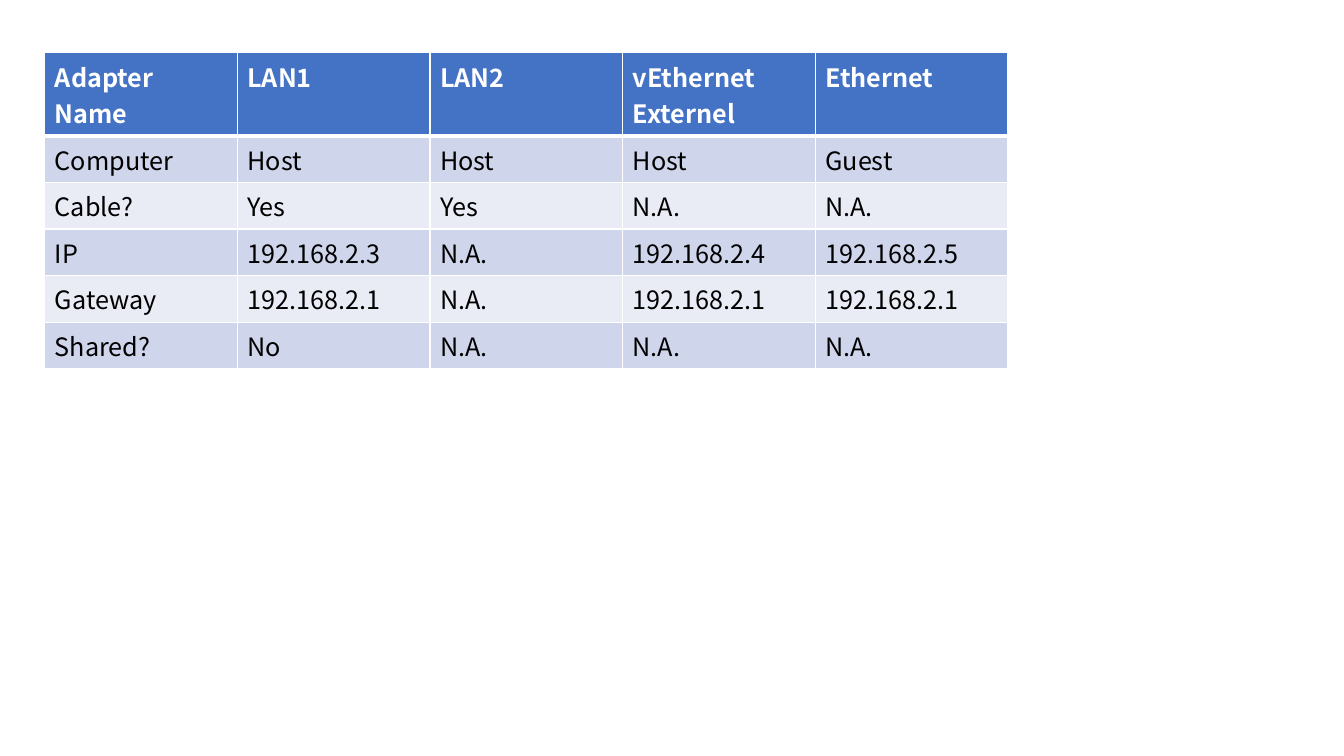
from dataclasses import dataclass

from lxml import etree
from pptx import Presentation
from pptx.dml.color import RGBColor
from pptx.oxml.ns import qn
from pptx.util import Pt


@dataclass(frozen=True)
class Theme:
    font: str = "Noto Sans CJK SC"
    text_size: float = 18
    header_fill: str = "4472C4"
    header_text: str = "FFFFFF"
    body_text: str = "000000"
    bands: tuple = ("CFD5EA", "E9EBF5")
    border: str = "FFFFFF"
    thin_border: float = 1
    header_rule: float = 3


THEME = Theme()

ADAPTERS = [
    ["Adapter Name", "LAN1", "LAN2", "vEthernet Externel", "Ethernet"],
    ["Computer", "Host", "Host", "Host", "Guest"],
    ["Cable?", "Yes", "Yes", "N.A.", "N.A."],
    ["IP", "192.168.2.3", "N.A.", "192.168.2.4", "192.168.2.5"],
    ["Gateway", "192.168.2.1", "N.A.", "192.168.2.1", "192.168.2.1"],
    ["Shared?", "No", "N.A.", "N.A.", "N.A."],
]


def set_borders(cell, top, bottom):
    """Draw all four cell borders; top and bottom widths are in points."""
    properties = cell._tc.get_or_add_tcPr()
    widths = {"L": THEME.thin_border, "R": THEME.thin_border, "T": top, "B": bottom}
    # Borders must precede the fill element
    for position, (side, width) in enumerate(widths.items()):
        line = etree.Element(qn(f"a:ln{side}"), w=str(Pt(width)))
        fill = etree.SubElement(line, qn("a:solidFill"))
        etree.SubElement(fill, qn("a:srgbClr"), val=THEME.border)
        properties.insert(position, line)


def fill_cell(cell, text, row_index):
    """Write and style one cell according to its row."""
    is_header = row_index == 0
    band = THEME.bands[(row_index - 1) % len(THEME.bands)]
    cell.fill.solid()
    cell.fill.fore_color.rgb = RGBColor.from_string(THEME.header_fill if is_header else band)

    run = cell.text_frame.paragraphs[0].add_run()
    run.text = text
    run.font.name = THEME.font
    run.font.size = Pt(THEME.text_size)
    run.font.bold = is_header
    run.font.color.rgb = RGBColor.from_string(
        THEME.header_text if is_header else THEME.body_text)

    set_borders(
        cell,
        top=THEME.header_rule if row_index == 1 else THEME.thin_border,
        bottom=THEME.header_rule if is_header else THEME.thin_border,
    )


def add_adapter_table(slide, left, top, width, height):
    """Place the network adapter table in the given box (points)."""
    row_count, column_count = len(ADAPTERS), len(ADAPTERS[0])
    table = slide.shapes.add_table(
        row_count, column_count, Pt(left), Pt(top), Pt(width), Pt(height)).table

    # Equal columns and rows; rows grow to fit their text
    for column in table.columns:
        column.width = Pt(width / column_count)
    for row in table.rows:
        row.height = Pt(height / row_count)

    for row_index, texts in enumerate(ADAPTERS):
        for column_index, text in enumerate(texts):
            fill_cell(table.cell(row_index, column_index), text, row_index)


def main():
    presentation = Presentation()
    presentation.slide_width, presentation.slide_height = Pt(960), Pt(540)
    slide = presentation.slides.add_slide(presentation.slide_layouts[6])

    # Adapter overview
    add_adapter_table(slide, left=32, top=37.7, width=688, height=175.2)

    presentation.save("out.pptx")


main()
